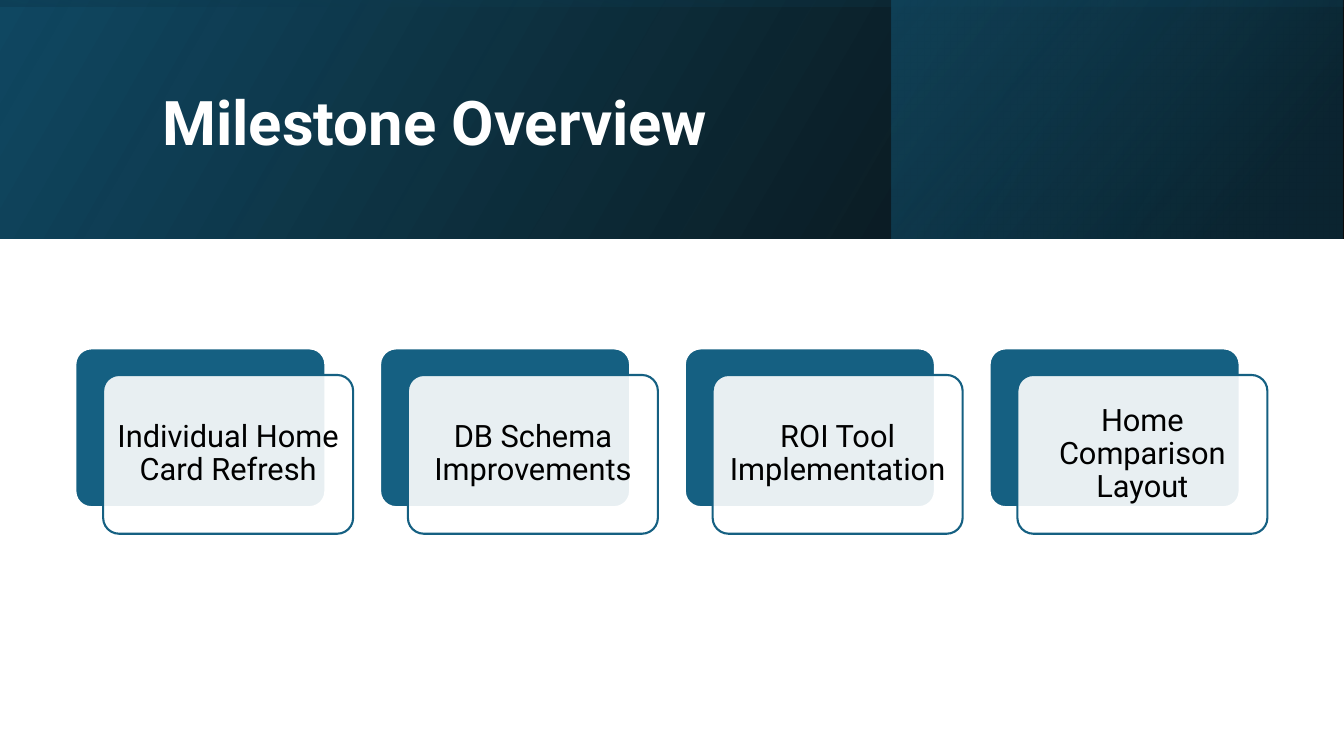
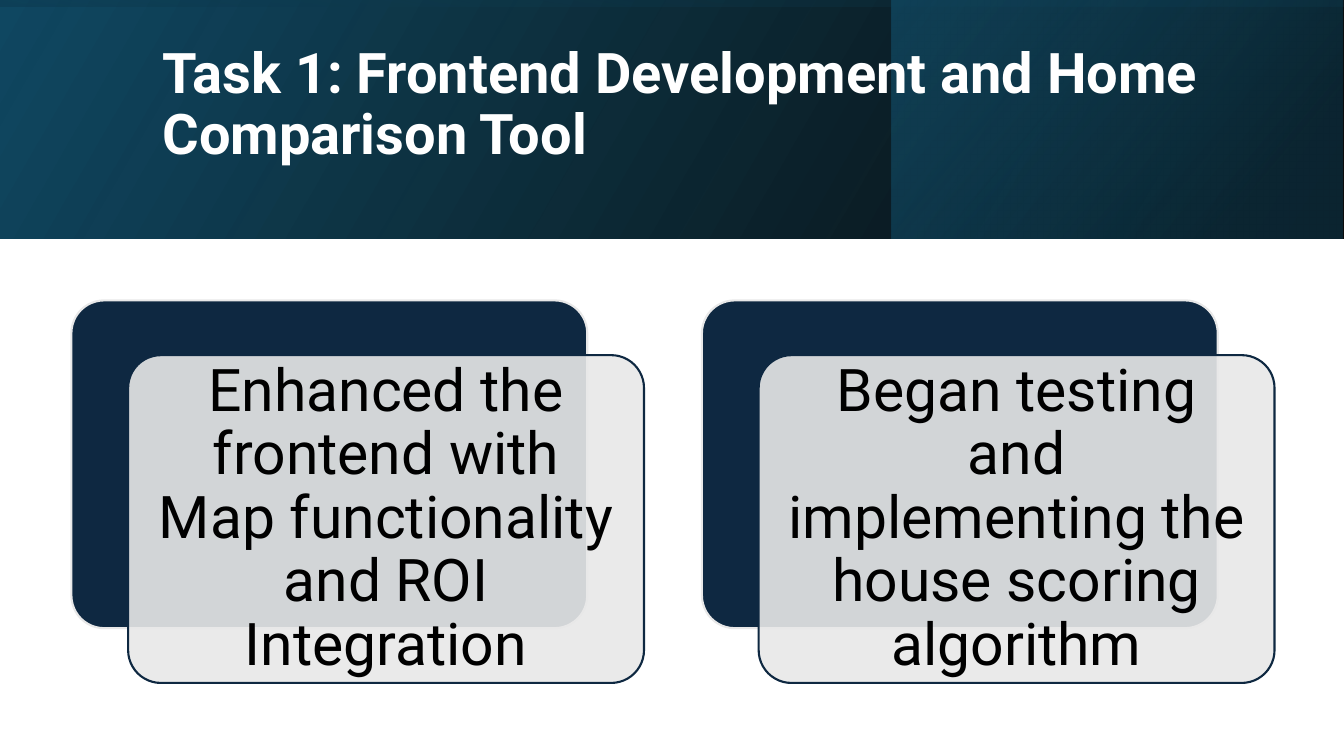
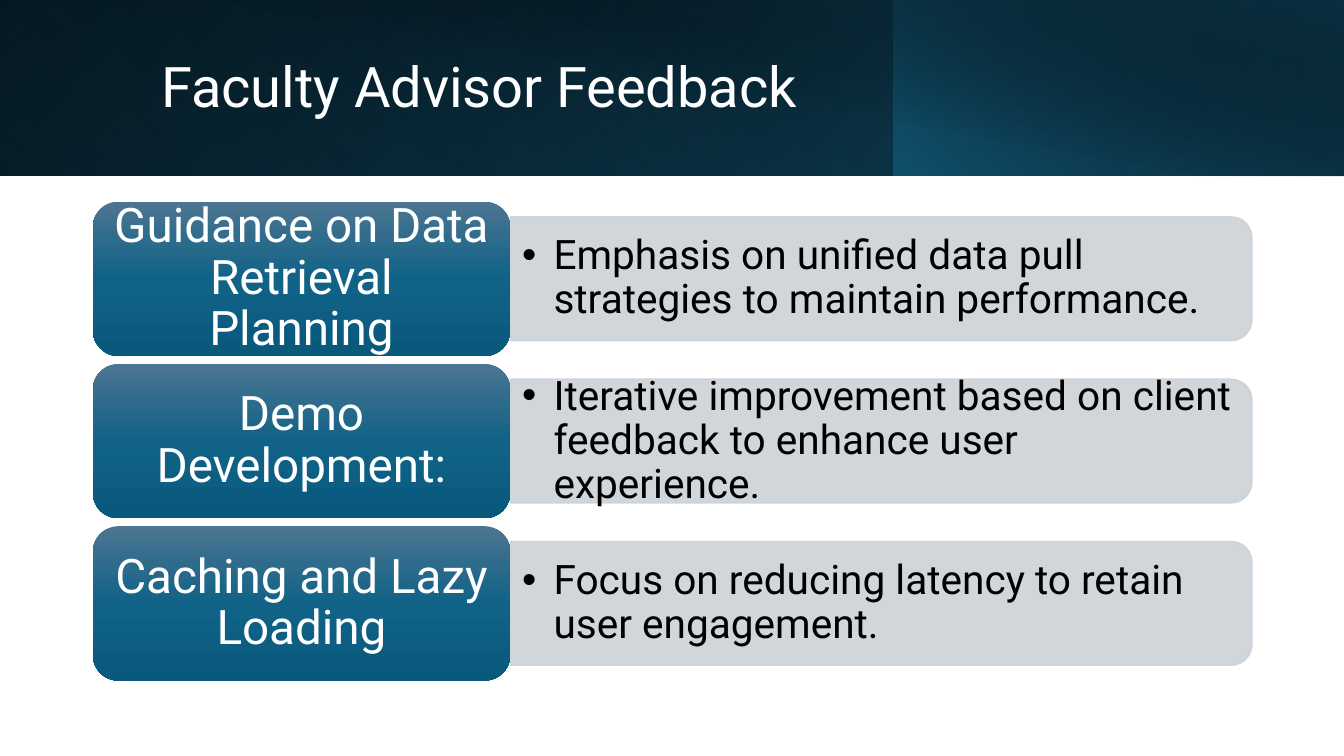
from dataclasses import dataclass
from typing import NamedTuple

from lxml.etree import SubElement
from pptx import Presentation
from pptx.dml.color import RGBColor
from pptx.enum.shapes import MSO_SHAPE
from pptx.enum.text import MSO_ANCHOR, MSO_AUTO_SIZE, PP_ALIGN
from pptx.oxml.ns import qn
from pptx.util import Cm, Pt


@dataclass(frozen=True)
class Theme:
    font: str = "Roboto"
    black: str = "000000"
    white: str = "FFFFFF"
    navy: str = "0E2841"
    deep: str = "0B3041"
    ocean: str = "104862"
    teal: str = "156082"
    pale: str = "E8E8E8"
    mist: str = "CCD2D8"
    label_top: str = "4C7591"
    label_middle: str = "106287"
    label_bottom: str = "09597D"
    title_large: int = 44
    title_size: int = 40
    milestone_size: int = 22
    task_size: int = 42
    label_size: int = 34
    detail_size: int = 29
    line_spacing: float = 0.9
    card_opacity: int = 90


THEME = Theme()
SLIDE_WIDTH, SLIDE_HEIGHT = 33.87, 19.05  # cm


class Frame(NamedTuple):
    """Visible area in centimetres."""
    left: float
    top: float
    width: float
    height: float

    def lengths(self):
        return [Cm(value) for value in self]

    def turned(self):
        """Frame that covers this area after a quarter turn."""
        shift = (self.width - self.height) / 2
        return Frame(self.left + shift, self.top - shift, self.height, self.width)


class Gradient(NamedTuple):
    angle: int
    stops: tuple  # (position, colour, opacity), all but colour in percent


class Band(NamedTuple):
    frame: Frame
    gradient: Gradient
    rotation: int = 0
    flipped: bool = True


class CardRow(NamedTuple):
    first: Frame
    pitch: float
    shift: tuple  # offset of the front card
    accent: str
    surface: str
    size: int
    inset: float


# Header bands, from back to front
TALL, LOW = 6.02, 4.42
TALL_HEADER = (
    Band(Frame(0, 0, SLIDE_WIDTH, TALL),
         Gradient(330, ((0, THEME.black, 96), (100, THEME.ocean, 100)))),
    Band(Frame(22.46, 0, 11.38, TALL),
         Gradient(320, ((19, THEME.deep, 68), (100, THEME.teal, 48)))),
    Band(Frame(0, 0, SLIDE_WIDTH, TALL),
         Gradient(350, ((23, THEME.ocean, 16), (99, THEME.black, 45))), rotation=270),
)
LOW_HEADER = (
    Band(Frame(0, 0, SLIDE_WIDTH, LOW),
         Gradient(140, ((0, THEME.black, 100), (100, THEME.ocean, 100)))),
    Band(Frame(0, 0, 22.56, LOW),
         Gradient(230, ((20, THEME.teal, 0), (100, THEME.deep, 55))), rotation=180),
    Band(Frame(22.53, 0, 11.33, LOW),
         Gradient(220, ((0, THEME.teal, 66), (100, THEME.black, 30)))),
    Band(Frame(1.27, 0, 32.6, 4.45),
         Gradient(280, ((50, THEME.black, 0), (99, THEME.deep, 52))), flipped=False),
)
LABEL_GRADIENT = Gradient(90, ((0, THEME.label_top, 100),
                               (50, THEME.label_middle, 100),
                               (100, THEME.label_bottom, 100)))

# Rows of layered cards
MILESTONE_CARDS = CardRow(Frame(1.9, 8.78, 6.3, 4), 7.68, (0.7, 0.67),
                          THEME.teal, THEME.white, THEME.milestone_size, 0.22)
TASK_CARDS = CardRow(Frame(1.8, 7.57, 13, 8.26), 15.89, (1.43, 1.38),
                     THEME.navy, THEME.pale, THEME.task_size, 0.43)


# Fills and text
def set_opacity(fill_element, opacity):
    color = fill_element.find(".//" + qn("a:srgbClr"))
    SubElement(color, qn("a:alpha")).set("val", str(opacity * 1000))


def fill_gradient(shape, gradient):
    shape.fill.gradient()
    grad = shape.element.spPr.find(qn("a:gradFill"))
    grad.clear()
    grad.set("rotWithShape", "1")
    stop_list = SubElement(grad, qn("a:gsLst"))
    for position, color, opacity in gradient.stops:
        stop = SubElement(stop_list, qn("a:gs"), pos=str(position * 1000))
        SubElement(stop, qn("a:srgbClr"), val=color)
        set_opacity(stop, opacity)
    SubElement(grad, qn("a:lin"), ang=str(gradient.angle * 60000), scaled="0")


def fill_solid(shape, color, opacity=100):
    shape.fill.solid()
    shape.fill.fore_color.rgb = RGBColor.from_string(color)
    if opacity < 100:
        set_opacity(shape.element.spPr.find(qn("a:solidFill")), opacity)


def outline(shape, color, width):
    shape.line.color.rgb = RGBColor.from_string(color)
    shape.line.width = Pt(width)


def write(shape, text, size, color, align=PP_ALIGN.CENTER, bold=False, insets=None):
    frame = shape.text_frame
    frame.text = text
    frame.word_wrap = True
    frame.auto_size = MSO_AUTO_SIZE.NONE
    frame.vertical_anchor = MSO_ANCHOR.MIDDLE
    if insets:
        frame.margin_left = frame.margin_right = Cm(insets[0])
        frame.margin_top = frame.margin_bottom = Cm(insets[1])
    paragraph = frame.paragraphs[0]
    paragraph.alignment = align
    paragraph.line_spacing = THEME.line_spacing
    font = paragraph.runs[0].font
    font.name, font.size, font.bold = THEME.font, Pt(size), bold
    font.color.rgb = RGBColor.from_string(color)
    return paragraph


def add_bullet(paragraph, indent):
    properties = paragraph._p.get_or_add_pPr()
    properties.set("marL", str(Cm(indent)))
    properties.set("indent", str(-Cm(indent)))
    SubElement(properties, qn("a:buFont"), typeface="Arial")
    SubElement(properties, qn("a:buChar"), char="•")


# Slide elements
def add_plain_shape(slide, kind, frame, rotation=0):
    placed = frame.turned() if rotation % 180 else frame
    shape = slide.shapes.add_shape(kind, *placed.lengths())
    shape.rotation = rotation
    shape.shadow.inherit = False
    shape.line.fill.background()
    return shape


def add_band(slide, band):
    shape = add_plain_shape(slide, MSO_SHAPE.RECTANGLE, band.frame, band.rotation)
    fill_gradient(shape, band.gradient)
    if band.flipped:
        shape.element.spPr.find(qn("a:xfrm")).set("flipH", "1")


def add_titled_slide(deck, header, title_text, frame, size, bold=True):
    slide = deck.slides.add_slide(deck.slide_layouts.get_by_name("Title Only"))
    for band in header:
        add_band(slide, band)
    title = slide.shapes.title
    title.left, title.top, title.width, title.height = frame.lengths()
    write(title, title_text, size, THEME.white, PP_ALIGN.LEFT, bold)
    title.element.getparent().append(title.element)  # in front of the bands
    return slide


def add_card(slide, frame, fill, line, opacity=100):
    card = add_plain_shape(slide, MSO_SHAPE.ROUNDED_RECTANGLE, frame)
    card.adjustments[0] = 0.1
    fill_solid(card, fill, opacity)
    outline(card, line, 1.5)
    return card


def add_card_row(slide, row, texts):
    left, top, width, height = row.first
    across, down = row.shift
    for index, text in enumerate(texts):
        x = left + index * row.pitch
        add_card(slide, Frame(x, top, width, height), row.accent, row.surface)
        front = add_card(slide, Frame(x + across, top + down, width, height),
                         row.surface, row.accent, THEME.card_opacity)
        write(front, text, row.size, THEME.black, insets=(row.inset, row.inset))


def add_feedback_row(slide, top, topic, detail):
    label_frame = Frame(2.34, top, 10.52, 3.89)
    detail_left = label_frame.left + label_frame.width
    middle = top + label_frame.height / 2

    # Detail bar, rounded on its right side
    bar_height, text_height = 3.12, 2.82
    bar = add_plain_shape(slide, MSO_SHAPE.ROUND_2_SAME_RECTANGLE,
                          Frame(detail_left, middle - bar_height / 2, 18.69, bar_height), 90)
    fill_solid(bar, THEME.mist, THEME.card_opacity)
    outline(bar, THEME.mist, 1)
    set_opacity(bar.element.spPr.find(qn("a:ln")), THEME.card_opacity)
    detail_text = slide.shapes.add_textbox(
        *Frame(detail_left, middle - text_height / 2, 18.54, text_height).lengths())
    paragraph = write(detail_text, detail, THEME.detail_size, THEME.black,
                      PP_ALIGN.LEFT, insets=(0.3, 0.15))
    add_bullet(paragraph, 0.79)

    # Topic label
    label = add_plain_shape(slide, MSO_SHAPE.ROUNDED_RECTANGLE, label_frame)
    fill_gradient(label, LABEL_GRADIENT)
    write(label, topic, THEME.label_size, THEME.white, insets=(0.35, 0.18))


def main():
    deck = Presentation()
    deck.slide_width, deck.slide_height = Cm(SLIDE_WIDTH), Cm(SLIDE_HEIGHT)

    # Milestones
    milestones = add_titled_slide(deck, TALL_HEADER, "Milestone Overview",
                                  Frame(3.84, 0.97, 27, 4.37), THEME.title_large)
    add_card_row(milestones, MILESTONE_CARDS, (
        "Individual Home Card Refresh",
        "DB Schema Improvements",
        "ROI Tool Implementation",
        "Home Comparison Layout",
    ))

    # Task 1
    task = add_titled_slide(deck, TALL_HEADER,
                            "Task 1: Frontend Development and Home Comparison Tool",
                            Frame(3.84, 1.52, 26.59, 3.81), THEME.title_size)
    task.shapes.title.text_frame.margin_bottom = Cm(1.65)  # lifts the title
    add_card_row(task, TASK_CARDS, (
        "Enhanced the frontend with Map functionality and ROI Integration",
        "Began testing and implementing the house scoring algorithm",
    ))

    # Feedback
    feedback = add_titled_slide(deck, LOW_HEADER, "Faculty Advisor Feedback",
                                Frame(3.81, 0.81, 27.48, 2.87), THEME.title_size, bold=False)
    topics = (
        ("Guidance on Data Retrieval Planning",
         "Emphasis on unified data pull strategies to maintain performance."),
        ("Demo Development:",
         "Iterative improvement based on client feedback to enhance user experience."),
        ("Caching and Lazy Loading",
         "Focus on reducing latency to retain user engagement."),
    )
    for index, (topic, detail) in enumerate(topics):
        add_feedback_row(feedback, 5.08 + index * 4.09, topic, detail)

    deck.save("out.pptx")


if __name__ == "__main__":
    main()
